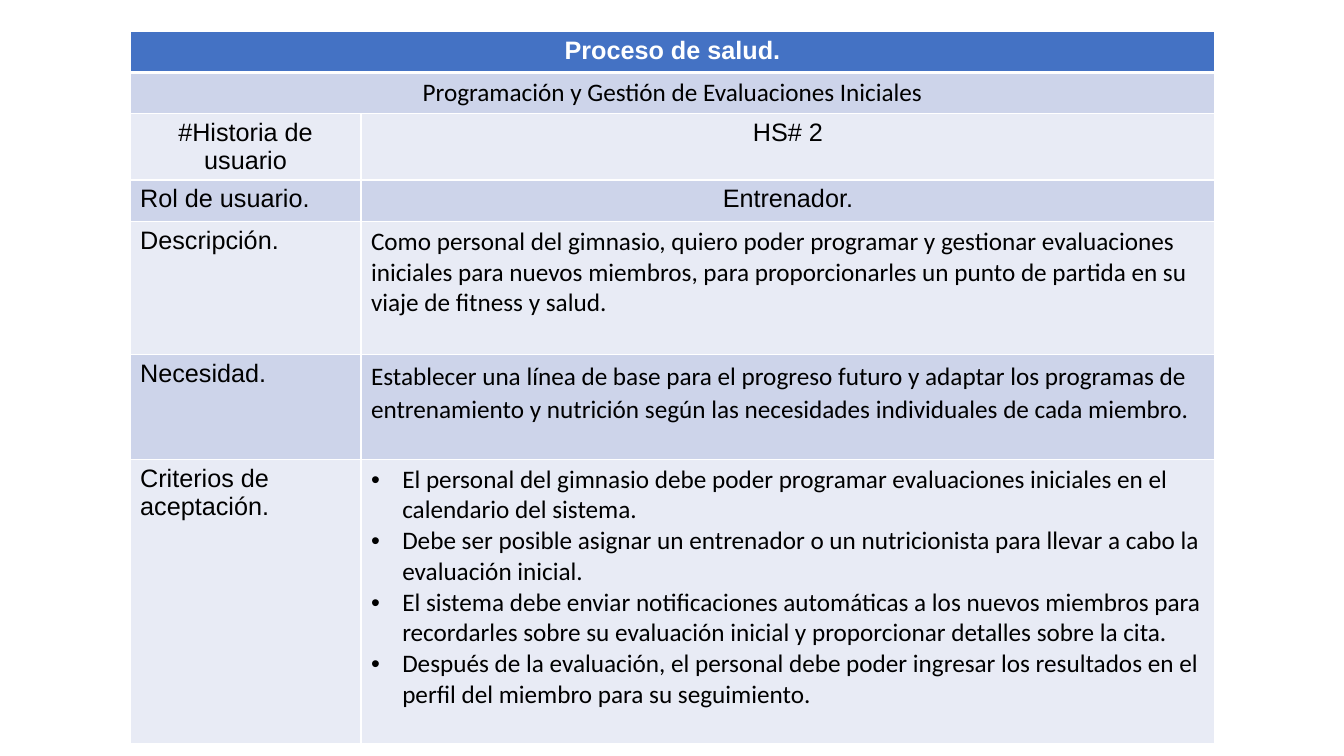
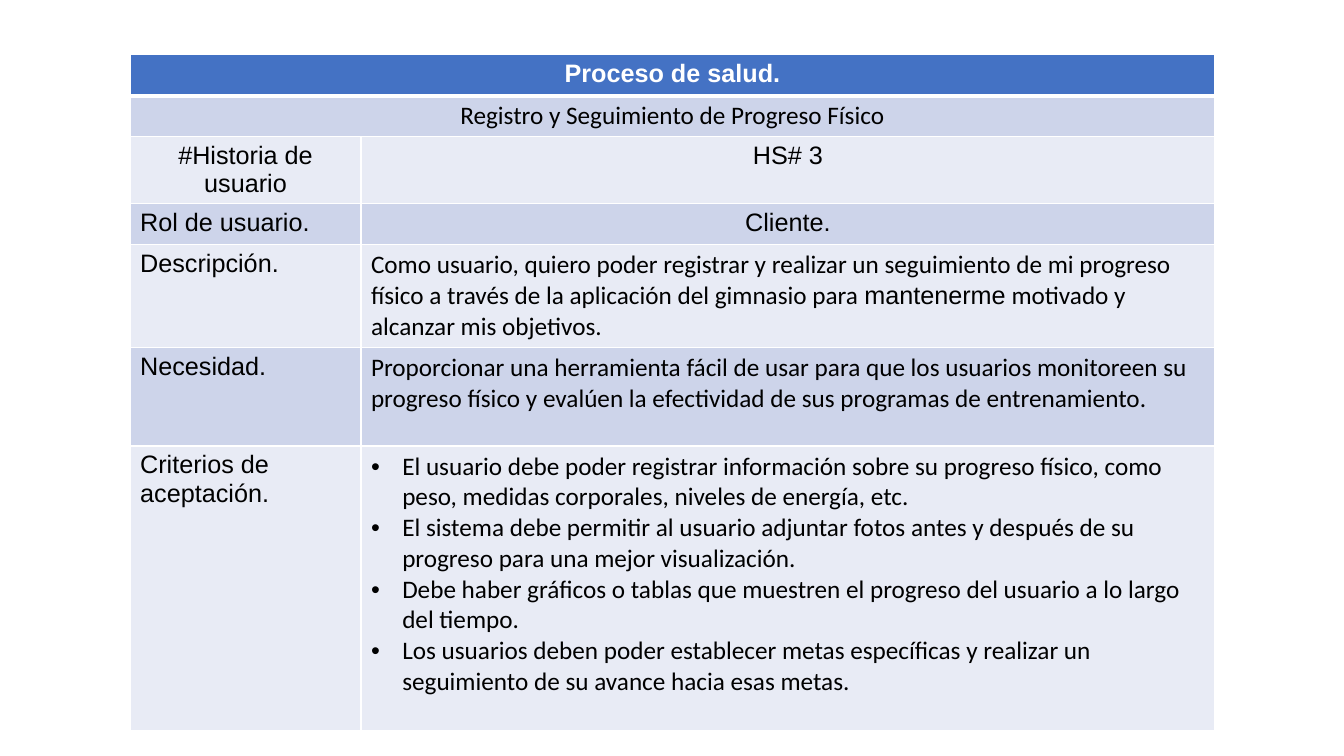
from lxml.etree import SubElement
from pptx import Presentation
from pptx.dml.color import RGBColor
from pptx.enum.text import PP_ALIGN
from pptx.oxml.ns import qn
from pptx.util import Inches, Pt

# Shared look
WHITE = RGBColor(0xFF, 0xFF, 0xFF)
BLACK = RGBColor(0x00, 0x00, 0x00)
BLUE = RGBColor(0x44, 0x72, 0xC4)
DARK = RGBColor(0xCD, 0xD4, 0xEA)
LIGHT = RGBColor(0xE8, 0xEB, 0xF5)
ARIAL, BODY = "Arial", "Calibri"
LEFT = 1.29
COLS = [2.29, 8.47]
TITLE = "Proceso de salud."
LABELS = ["#Historia de usuario", "Rol de usuario.", "Descripción.",
          "Necesidad.", "Criterios de aceptación."]

# Content of each story; a paragraph is a list of (text, font) runs
STORIES = [
    {
        "top": 0.31,
        "rows": [0.41, 0.4, 0.66, 0.41, 1.32, 1.04, 2.82],
        "name": "Programación y Gestión de Evaluaciones Iniciales",
        "code": "HS# 2",
        "role": "Entrenador.",
        "about": [("Como personal del gimnasio, quiero poder programar y gestionar "
                   "evaluaciones iniciales para nuevos miembros, para proporcionarles "
                   "un punto de partida en su viaje de fitness y salud.", BODY)],
        "need": "Establecer una línea de base para el progreso futuro y adaptar los "
                "programas de entrenamiento y nutrición según las necesidades "
                "individuales de cada miembro.",
        "space": 1.07,
        "tests": [
            "El personal del gimnasio debe poder programar evaluaciones iniciales "
            "en el calendario del sistema.",
            "Debe ser posible asignar un entrenador o un nutricionista para llevar "
            "a cabo la evaluación inicial.",
            "El sistema debe enviar notificaciones automáticas a los nuevos miembros "
            "para recordarles sobre su evaluación inicial y proporcionar detalles "
            "sobre la cita.",
            "Después de la evaluación, el personal debe poder ingresar los resultados "
            "en el perfil del miembro para su seguimiento.",
        ],
    },
    {
        "top": 0.54,
        "rows": [0.41, 0.4, 0.66, 0.41, 1.02, 0.98, 2.82],
        "name": "Registro y Seguimiento de Progreso Físico",
        "code": "HS# 3",
        "role": "Cliente.",
        "about": [("Como usuario, quiero poder registrar y realizar un seguimiento de "
                   "mi progreso físico a través de la aplicación del gimnasio para ", BODY),
                  ("mantenerme", ARIAL),
                  (" motivado y alcanzar mis objetivos.", BODY)],
        "need": "Proporcionar una herramienta fácil de usar para que los usuarios "
                "monitoreen su progreso físico y evalúen la efectividad de sus "
                "programas de entrenamiento.",
        "space": None,
        "tests": [
            "El usuario debe poder registrar información sobre su progreso físico, "
            "como peso, medidas corporales, niveles de energía, etc.",
            "El sistema debe permitir al usuario adjuntar fotos antes y después de "
            "su progreso para una mejor visualización.",
            "Debe haber gráficos o tablas que muestren el progreso del usuario a lo "
            "largo del tiempo.",
            "Los usuarios deben poder establecer metas específicas y realizar un "
            "seguimiento de su avance hacia esas metas.",
        ],
    },
]


def write(para, runs, center=False, color=BLACK, bold=False):
    para.alignment = PP_ALIGN.CENTER if center else PP_ALIGN.LEFT
    for text, face in runs:
        run = para.add_run()
        run.text = text
        font = run.font
        font.name, font.size, font.bold = face, Pt(18), bold
        font.color.rgb = color


def paint(cell, row, fill):
    props = cell._tc.get_or_add_tcPr()
    for side in ("lnL", "lnR", "lnT", "lnB"):
        thick = (row == 0 and side == "lnB") or (row == 1 and side == "lnT")
        line = SubElement(props, qn(f"a:{side}"), w=str(Pt(3 if thick else 1)))
        solid = SubElement(line, qn("a:solidFill"))
        SubElement(solid, qn("a:srgbClr"), val=str(WHITE))
    cell.fill.solid()
    cell.fill.fore_color.rgb = fill


deck = Presentation()
deck.slide_width, deck.slide_height = Inches(13.33), Inches(7.5)

for story in STORIES:
    slide = deck.slides.add_slide(deck.slide_layouts[6])
    rows = story["rows"]
    table = slide.shapes.add_table(
        len(rows), len(COLS), Inches(LEFT), Inches(story["top"]),
        Inches(sum(COLS)), Inches(sum(rows))).table

    # Grid
    for col, width in zip(table.columns, COLS):
        col.width = Inches(width)
    for i, height in enumerate(rows):
        table.rows[i].height = Inches(height)
        fill = BLUE if i == 0 else DARK if i % 2 else LIGHT
        for j in range(len(COLS)):
            paint(table.cell(i, j), i, fill)
    for i in (0, 1):
        table.cell(i, 0).merge(table.cell(i, 1))

    # Headings and labels
    write(table.cell(0, 0).text_frame.paragraphs[0], [(TITLE, ARIAL)], True, WHITE, True)
    write(table.cell(1, 0).text_frame.paragraphs[0], [(story["name"], BODY)], True)
    for i, label in enumerate(LABELS):
        write(table.cell(i + 2, 0).text_frame.paragraphs[0], [(label, ARIAL)], i == 0)

    # Code, role, description and need
    frames = [table.cell(i, 1).text_frame for i in range(2, len(rows))]
    write(frames[0].paragraphs[0], [(story["code"], ARIAL)], True)
    write(frames[1].paragraphs[0], [(story["role"], ARIAL)], True)
    write(frames[2].paragraphs[0], story["about"])
    need = frames[3].paragraphs[0]
    need.line_spacing = story["space"]
    write(need, [(story["need"], BODY)])

    # Bulleted criteria
    for i, test in enumerate(story["tests"]):
        para = frames[4].add_paragraph() if i else frames[4].paragraphs[0]
        write(para, [(test, BODY)])
        props = para._p.get_or_add_pPr()
        props.set("marL", str(Inches(0.31)))
        props.set("indent", str(-Inches(0.31)))
        tint = SubElement(props, qn("a:buClr"))
        SubElement(tint, qn("a:srgbClr"), val=str(BLACK))
        SubElement(props, qn("a:buFont"), typeface=ARIAL)
        SubElement(props, qn("a:buChar"), char="•")

deck.save("out.pptx")
